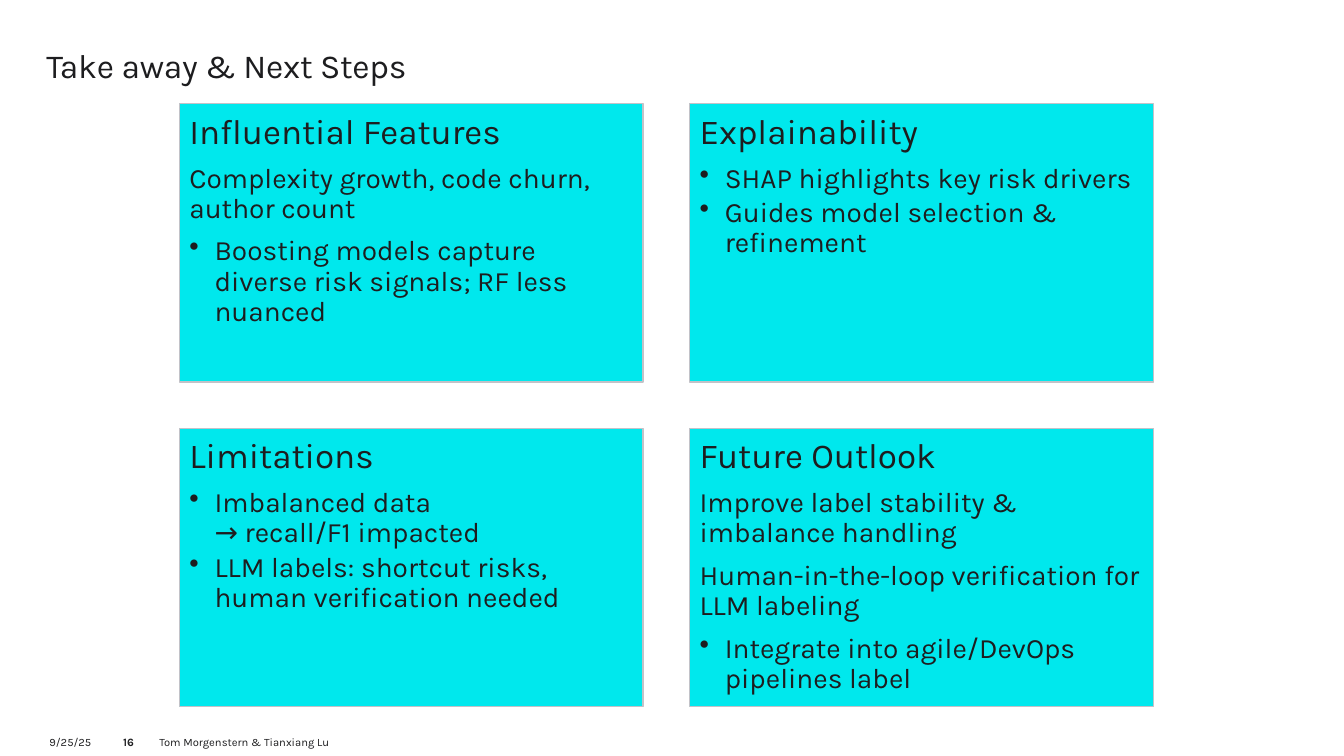
from dataclasses import dataclass

from pptx import Presentation
from pptx import util as u
from pptx.dml.color import RGBColor
from pptx.enum import shapes, text
from pptx.oxml.ns import qn
from lxml import etree


@dataclass(frozen=True)
class Theme:
    font: str = "Karla"
    ink: RGBColor = RGBColor(0x1D, 0x1D, 0x1F)
    card: RGBColor = RGBColor(0x00, 0xE8, 0xED)
    border: RGBColor = RGBColor(0xC2, 0xC2, 0xC8)
    title: float = 24
    heading: float = 25
    body: float = 20
    footer: float = 8
    line_spacing: float = 0.9
    wide_gap: float = 8.75
    bullet_gap: float = 3


THEME = Theme()
PLAIN, BULLET = False, True

CARDS = [
    ("Influential Features", [
        (PLAIN, "Complexity growth, code churn, author count"),
        (BULLET, "Boosting models capture diverse risk signals; RF less nuanced"),
    ]),
    ("Explainability", [
        (BULLET, "SHAP highlights key risk drivers"),
        (BULLET, "Guides model selection & refinement"),
    ]),
    ("Limitations", [
        (BULLET, "Imbalanced data\n→ recall/F1 impacted"),
        (BULLET, "LLM labels: shortcut risks, human verification needed"),
    ]),
    ("Future Outlook", [
        (PLAIN, "Improve label stability & imbalance handling"),
        (PLAIN, "Human-in-the-loop verification for LLM labeling"),
        (BULLET, "Integrate into agile/DevOps pipelines label"),
    ]),
]


def prepare_frame(frame, inset):
    frame.word_wrap = True
    frame.vertical_anchor = text.MSO_ANCHOR.TOP
    frame.margin_left = frame.margin_right = u.Inches(inset)
    frame.margin_top = frame.margin_bottom = u.Inches(inset)


def write(paragraph, words, size, bold=False, align=text.PP_ALIGN.LEFT):
    paragraph.text = words
    paragraph.alignment = align
    paragraph.font.name = THEME.font
    paragraph.font.size = u.Pt(size)
    paragraph.font.bold = bold
    paragraph.font.color.rgb = THEME.ink


def add_bullet(paragraph):
    properties = paragraph._p.get_or_add_pPr()
    properties.set("marL", str(u.Inches(0.25)))
    properties.set("indent", str(-u.Inches(0.25)))
    etree.SubElement(properties, qn("a:buChar")).set("char", "•")


def add_label(slide, left, top, width, height, words, size, **style):
    label = slide.shapes.add_textbox(*map(u.Inches, (left, top, width, height)))
    prepare_frame(label.text_frame, 0)
    paragraph = label.text_frame.paragraphs[0]
    write(paragraph, words, size, **style)
    return paragraph


def add_title(slide, left, top, width, height):
    title = add_label(slide, left, top, width, height,
                      "Take away & Next Steps", THEME.title)
    title.line_spacing = THEME.line_spacing
    title.runs[0]._r.get_or_add_rPr().set("spc", "-20")


def add_card(slide, left, top, width, height, heading, points):
    card = slide.shapes.add_shape(
        shapes.MSO_SHAPE.RECTANGLE, *map(u.Inches, (left, top, width, height)))
    card.shadow.inherit = False
    card.fill.solid()
    card.fill.fore_color.rgb = THEME.card
    card.line.color.rgb = THEME.border
    card.line.width = u.Pt(1)

    frame = card.text_frame
    prepare_frame(frame, 0.1)
    headline = frame.paragraphs[0]
    write(headline, heading, THEME.heading)
    headline.line_spacing = THEME.line_spacing
    headline.space_after = u.Pt(THEME.wide_gap)
    for bulleted, words in points:
        point = frame.add_paragraph()
        point.line_spacing = THEME.line_spacing
        point.space_after = u.Pt(THEME.bullet_gap if bulleted else THEME.wide_gap)
        if bulleted:
            add_bullet(point)
        write(point, words, THEME.body)


def add_card_grid(slide, left, top, width, height, gap=0.46, columns=2):
    """Fill the box with equal cards, row by row."""
    rows = len(CARDS) // columns
    card_width = (width - gap * (columns - 1)) / columns
    card_height = (height - gap * (rows - 1)) / rows
    for index, (heading, points) in enumerate(CARDS):
        row, column = divmod(index, columns)
        add_card(slide, left + column * (card_width + gap),
                 top + row * (card_height + gap),
                 card_width, card_height, heading, points)


def add_footer(slide, left, top, width, height):
    add_label(slide, left, top, 0.51, height, "9/25/25", THEME.footer)
    add_label(slide, left + 0.56, top, 0.45, height, "16", THEME.footer,
              bold=True, align=text.PP_ALIGN.CENTER)
    add_label(slide, left + 1.09, top, width - 1.09, height,
              "Tom Morgenstern & Tianxiang Lu", THEME.footer)


def main():
    deck = Presentation()
    deck.slide_width = u.Inches(13.33)
    deck.slide_height = u.Inches(7.5)
    slide = deck.slides.add_slide(deck.slide_layouts[6])
    add_title(slide, 0.46, 0.49, 9.28, 0.91)
    add_card_grid(slide, 1.78, 1.03, 9.66, 5.98)
    add_footer(slide, 0.49, 7.29, 12.54, 0.15)
    deck.save("out.pptx")


if __name__ == "__main__":
    main()
